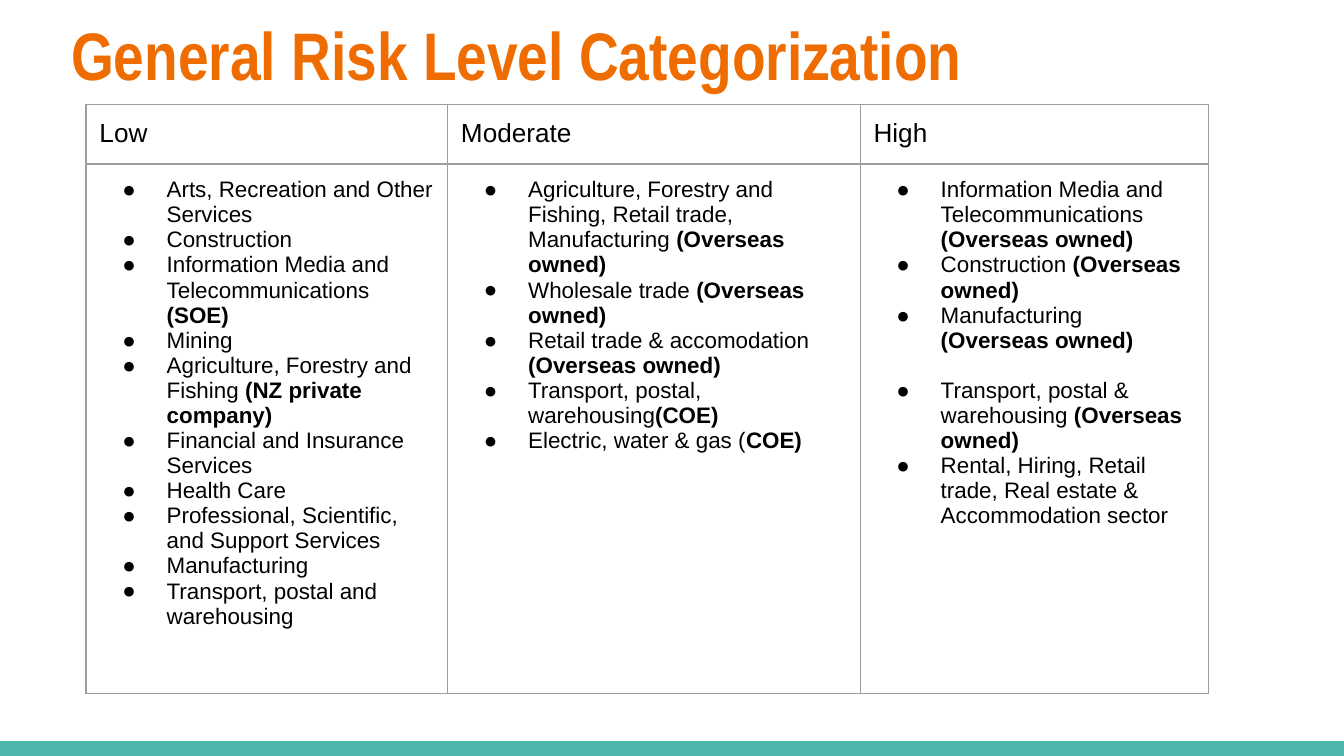
from dataclasses import dataclass

from lxml.etree import SubElement
from pptx import Presentation
from pptx.dml.color import RGBColor as RGB
from pptx.enum.shapes import MSO_SHAPE as SHAPE
from pptx.oxml.ns import qn
from pptx.util import Emu, Inches, Pt

COLORS = {"title": "EF6C00", "text": "000000", "border": "9E9E9E", "bar": "4DB6AC"}
WIDTH = Inches(10)
HEIGHT = Emu(WIDTH * 9 // 16)
ROWS = (0.44, 3.94)
PAD = Inches(0.1)
OVERSEAS = "(Overseas owned)"


@dataclass(frozen=True)
class Item:
    text: str
    owner: str = ""
    gap: float = 0


@dataclass(frozen=True)
class Level:
    name: str
    width: float
    items: tuple[Item, ...]


LEVELS = (
    Level("Low", 2.69, (
        Item("Arts, Recreation and Other Services"),
        Item("Construction"),
        Item("Information Media and Telecommunications ", "(SOE)"),
        Item("Mining"),
        Item("Agriculture, Forestry and Fishing ", "(NZ private company)"),
        Item("Financial and Insurance Services"),
        Item("Health Care"),
        Item("Professional, Scientific, and Support Services"),
        Item("Manufacturing"),
        Item("Transport, postal and warehousing"),
    )),
    Level("Moderate", 3.07, (
        Item("Agriculture, Forestry and Fishing, Retail trade, Manufacturing ", OVERSEAS),
        Item("Wholesale trade ", OVERSEAS),
        Item("Retail trade & accomodation ", OVERSEAS),
        Item("Transport, postal, warehousing", "(COE)"),
        Item("Electric, water & gas (", "COE)"),
    )),
    Level("High", 2.59, (
        Item("Information Media and Telecommunications ", OVERSEAS),
        Item("Construction ", OVERSEAS),
        Item("Manufacturing ", OVERSEAS, gap=13.4),
        Item("Transport, postal & warehousing ", OVERSEAS),
        Item("Rental, Hiring, Retail trade, Real estate & Accommodation sector"),
    )),
)


def rgb(name: str) -> RGB:
    return RGB.from_string(COLORS[name])


def set_font(p, size: float, name: str = "Arial", color: str = "text") -> None:
    p.font.size, p.font.name = Pt(size), name
    p.font.color.rgb = rgb(color)


def set_margins(box) -> None:
    box.margin_left = box.margin_right = box.margin_top = box.margin_bottom = PAD


def style_cell(cell) -> None:
    set_margins(cell)
    tc_pr = cell._tc.get_or_add_tcPr()
    for side in "LRTB":
        line = SubElement(tc_pr, qn(f"a:ln{side}"), w=str(Pt(0.75)))
        fill = SubElement(line, qn("a:solidFill"))
        SubElement(fill, qn("a:srgbClr"), val=COLORS["border"])
    cell.fill.background()


def add_bullet(p, size: float) -> None:
    p_pr = p._p.get_or_add_pPr()
    p_pr.set("marL", str(Inches(0.5)))
    p_pr.set("indent", str(Inches(-0.33)))
    color = SubElement(p_pr, qn("a:buClr"))
    SubElement(color, qn("a:srgbClr"), val=COLORS["text"])
    SubElement(p_pr, qn("a:buSzPts"), val=str(int(size * 100)))
    SubElement(p_pr, qn("a:buFont"), typeface="Arial")
    SubElement(p_pr, qn("a:buChar"), char="●")


def write_items(tf, items: tuple[Item, ...], size: float = 12) -> None:
    for i, item in enumerate(items):
        p = tf.add_paragraph() if i else tf.paragraphs[0]
        p.space_after = Pt(item.gap)
        add_bullet(p, size)
        set_font(p, size)
        p.add_run().text = item.text
        if item.owner:
            r = p.add_run()
            r.text = item.owner
            r.font.bold = True


def add_levels(s, levels: tuple[Level, ...]) -> None:
    width = Inches(sum(level.width for level in levels))
    frame = s.shapes.add_table(len(ROWS), len(levels), Inches(0.64), Inches(0.78),
                               width, Inches(sum(ROWS)))
    table = frame.table
    table.first_row = table.horz_banding = False
    for row, height in zip(table.rows, ROWS):
        row.height = Inches(height)
    for col, level in enumerate(levels):
        table.columns[col].width = Inches(level.width)
        head, body = table.cell(0, col), table.cell(1, col)
        style_cell(head)
        style_cell(body)
        head.text = level.name
        set_font(head.text_frame.paragraphs[0], 14)
        write_items(body.text_frame, level.items)


def add_bar(s) -> None:
    height = Inches(0.11)
    sp = s.shapes.add_shape(SHAPE.RECTANGLE, 0, HEIGHT - height, WIDTH, height)
    sp.shadow.inherit = False
    sp.fill.solid()
    sp.fill.fore_color.rgb = rgb("bar")
    sp.line.fill.background()


def add_title(s, text: str) -> None:
    tf = s.shapes.add_textbox(Inches(0.43), 0, Inches(9.32), Inches(0.72)).text_frame
    tf.word_wrap = True
    set_margins(tf)
    p = tf.paragraphs[0]
    p.text = text
    set_font(p, 36, "Arial Narrow", "title")
    p.font.bold = True


def main() -> None:
    """Build the risk level slide and save it."""
    prs = Presentation()
    prs.slide_width, prs.slide_height = WIDTH, HEIGHT
    s = prs.slides.add_slide(prs.slide_layouts[6])
    add_bar(s)
    add_levels(s, LEVELS)
    add_title(s, "General Risk Level Categorization")
    prs.save("out.pptx")


if __name__ == "__main__":
    main()
